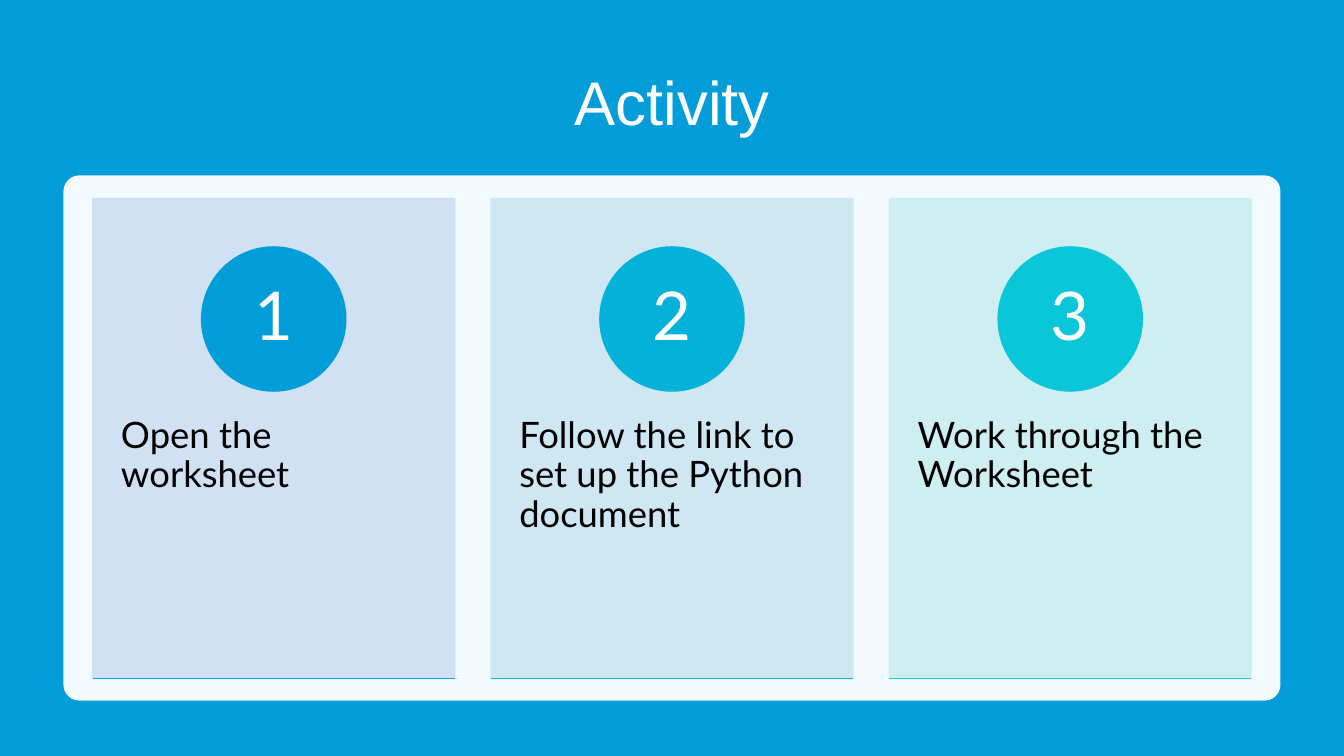
from dataclasses import dataclass

from lxml import etree
from pptx import Presentation
from pptx.dml.color import RGBColor
from pptx.enum import shapes, text
from pptx.oxml import ns
from pptx.util import Inches, Pt


@dataclass(frozen=True)
class Theme:
    back: str = "009DD9"
    white: str = "FFFFFF"
    ink: str = "000000"
    head: str = "Arial"
    body: str = "Lato"
    title: int = 44
    digit: int = 48
    step: int = 26


@dataclass(frozen=True)
class Step:
    label: str
    card: str
    disc: str
    rule: str


THEME = Theme()
STEPS = [
    Step("Open the worksheet", "CCDFF1", "009DD9", "02A8D9"),
    Step("Follow the link to set up the Python document",
         "CCE6F1", "04B2D9", "06BCD9"),
    Step("Work through the Worksheet", "CCEDF1", "09C6D9", "0BD0D9"),
]

# Card grid, in inches
LEFT, TOP, WIDE, HIGH, PITCH = 0.92, 1.97, 3.59, 4.76, 3.95
DISC = 1.43


def paint(fill, tint: str, alpha: int = 100) -> None:
    """Set a solid fill, with its opacity in percent."""
    fill.solid()
    fill.fore_color.rgb = RGBColor.from_string(tint)
    if alpha < 100:
        tone = fill._xPr.find(".//" + ns.qn("a:srgbClr"))
        etree.SubElement(tone, ns.qn("a:alpha"), val=str(alpha * 1000))


def block(slide, kind, x: float, y: float, w: float, h: float,
          tint: str, alpha: int = 100, edge: bool = True):
    """Draw a filled shape, with a line of the same colour if edged."""
    shape = slide.shapes.add_shape(
        kind, Inches(x), Inches(y), Inches(w), Inches(h))
    shape.shadow.inherit = False
    paint(shape.fill, tint, alpha)
    if edge:
        paint(shape.line.fill, tint, alpha)
        shape.line.width = Pt(1)
    else:
        shape.line.fill.background()
    return shape


def write(shape, words: str, face: str, size: int, tint: str,
          align, anchor, side: float, top: float) -> None:
    """Fill a shape with one paragraph of text."""
    frame = shape.text_frame
    frame.word_wrap = True
    frame.auto_size = text.MSO_AUTO_SIZE.NONE
    frame.vertical_anchor = anchor
    frame.margin_left = frame.margin_right = Inches(side)
    frame.margin_top = frame.margin_bottom = Inches(top)
    frame.text = words
    para = frame.paragraphs[0]
    para.alignment = align
    para.line_spacing = 0.9
    para.font.name = face
    para.font.size = Pt(size)
    para.font.color.rgb = RGBColor.from_string(tint)


def draw(slide, step: Step, index: int) -> None:
    """Draw one numbered card."""
    x = LEFT + index * PITCH
    base = TOP + HIGH
    block(slide, shapes.MSO_SHAPE.RECTANGLE,
          x, TOP, WIDE, HIGH, step.card, 90)

    # Instruction
    label = slide.shapes.add_textbox(
        Inches(x), Inches(3.78), Inches(WIDE), Inches(2.86))
    write(label, step.label, THEME.body, THEME.step, THEME.ink,
          text.PP_ALIGN.LEFT, text.MSO_ANCHOR.TOP, 0.28, 0.36)

    # Number
    disc = block(slide, shapes.MSO_SHAPE.OVAL,
                 x + (WIDE - DISC) / 2, 2.45, DISC, DISC, step.disc)
    write(disc, str(index + 1), THEME.body, THEME.digit, THEME.white,
          text.PP_ALIGN.CENTER, text.MSO_ANCHOR.MIDDLE, 0, 0)

    # Rule along the foot
    rule = slide.shapes.add_connector(
        shapes.MSO_CONNECTOR.STRAIGHT,
        Inches(x), Inches(base), Inches(x + WIDE), Inches(base))
    paint(rule.line.fill, step.rule)
    rule.line.width = Pt(1)
    etree.SubElement(rule._element.spPr, ns.qn("a:effectLst"))


def main() -> None:
    deck = Presentation()
    deck.slide_width, deck.slide_height = Inches(13.33), Inches(7.5)
    slide = deck.slides.add_slide(deck.slide_layouts.get_by_name("Title Only"))
    paint(slide.background.fill, THEME.back)

    # Title
    title = slide.shapes.title
    title.left, title.top = Inches(LEFT), Inches(0.5)
    title.width, title.height = Inches(11.5), Inches(1.1)
    write(title, "Activity", THEME.head, THEME.title, THEME.white,
          text.PP_ALIGN.CENTER, text.MSO_ANCHOR.MIDDLE, 0.1, 0.05)

    # Panel behind the cards
    panel = block(slide, shapes.MSO_SHAPE.ROUNDED_RECTANGLE,
                  0.63, 1.74, 12.07, 5.21, THEME.white, 95, edge=False)
    panel.adjustments[0] = 0.03

    # Cards
    for index, step in enumerate(STEPS):
        draw(slide, step, index)

    deck.save("out.pptx")


if __name__ == "__main__":
    main()
